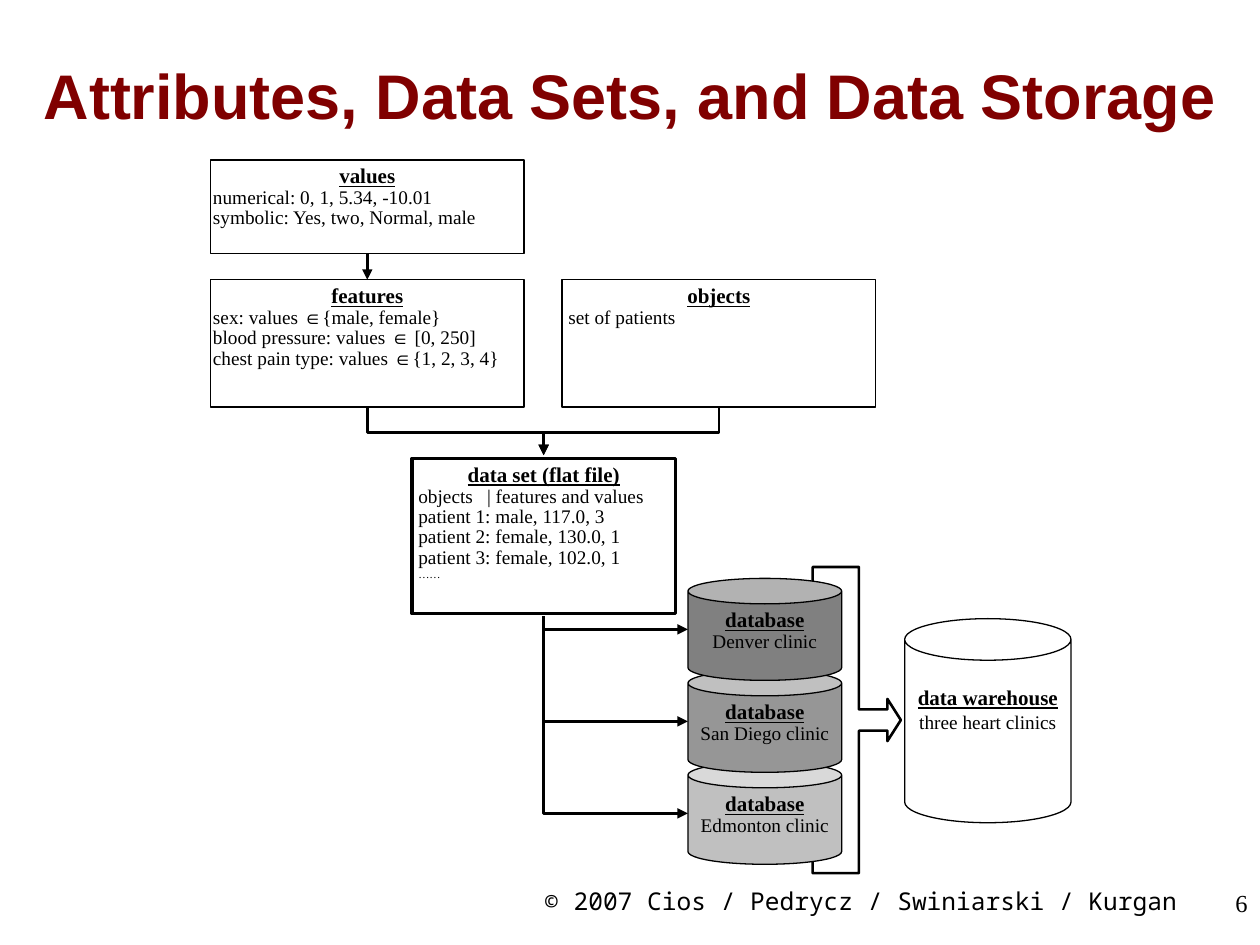
from dataclasses import dataclass

from pptx import Presentation, util as u
from pptx.dml.color import RGBColor
from pptx.enum import shapes, text
from pptx.oxml import parse_xml
from pptx.oxml.ns import nsdecls, qn
from pptx.oxml.xmlchemy import OxmlElement

COLORS = {
    "black": "000000", "white": "FFFFFF", "title": "800000",
    "denver": "808080", "san_diego": "969696", "edmonton": "C0C0C0",
}
SERIF, SANS, MONO = "Times New Roman", "Arial", "Noto Sans Mono"
HEADING = {"size": u.Pt(12), "bold": True, "underline": True, "name": SERIF}
BODY = {"size": u.Pt(11), "bold": False, "underline": False, "name": SERIF}
KIND, ALIGN = shapes.MSO_SHAPE, text.PP_ALIGN


@dataclass
class Box:
    x: float
    y: float
    w: float
    h: float

    @property
    def mid_x(self) -> float:
        return self.x + self.w / 2

    @property
    def bottom(self) -> float:
        return self.y + self.h


@dataclass
class Line:
    words: str
    fmt: dict
    align: int = ALIGN.LEFT
    indent: float = 0
    tab: float = 0
    baseline: int = 0


@dataclass
class Node:
    box: Box
    lines: list
    kind: int = KIND.RECTANGLE
    fill: str = ""
    weight: float = 0.75
    insets: tuple = (1.44, 3.6, 1.44, 0)
    spacing: float = 0.88


def hex_rgb(name: str) -> RGBColor:
    return RGBColor.from_string(COLORS[name])


def write_lines(tf, lines: list, insets: tuple, spacing: float,
                anchor=text.MSO_ANCHOR.TOP, color: str = "black") -> None:
    frame = {"word_wrap": True, "vertical_anchor": anchor}
    sides = ("margin_left", "margin_top", "margin_right", "margin_bottom")
    frame.update(zip(sides, map(u.Pt, insets)))
    for key, value in frame.items():
        setattr(tf, key, value)
    for i, line in enumerate(lines):
        p = tf.paragraphs[0] if i == 0 else tf.add_paragraph()
        p.alignment, p.line_spacing = line.align, spacing
        pPr = p._p.get_or_add_pPr()
        if line.indent:
            pPr.set("marL", str(u.Pt(line.indent)))
        if line.tab:
            pPr.append(parse_xml(
                f'<a:tabLst {nsdecls("a")}>'
                f'<a:tab pos="{u.Pt(line.tab)}" algn="l"/></a:tabLst>'))
        for part in filter(None, line.words.partition("∈")):
            r = p.add_run()
            r.text = part
            for key, value in line.fmt.items():
                setattr(r.font, key, value)
            if part == "∈":
                r.font.name = SANS
            r.font.color.rgb = hex_rgb(color)
            if line.baseline:
                r._r.get_or_add_rPr().set("baseline", str(line.baseline))


def add_label(s, box: Box, line: Line, **style) -> None:
    sp = s.shapes.add_textbox(*map(u.Pt, (box.x, box.y, box.w, box.h)))
    write_lines(sp.text_frame, [line], (7.2, 3.6, 7.2, 3.6), 1.0, **style)


def add_node(s, node: Node):
    b = node.box
    sp = s.shapes.add_shape(node.kind, *map(u.Pt, (b.x, b.y, b.w, b.h)))
    sp.shadow.inherit = False
    if node.fill:
        sp.fill.solid()
        sp.fill.fore_color.rgb = hex_rgb(node.fill)
    else:
        sp.fill.background()
    sp.line.color.rgb = hex_rgb("black")
    sp.line.width = u.Pt(node.weight)
    write_lines(sp.text_frame, node.lines, node.insets, node.spacing)
    return sp


def style_arrow(cn) -> None:
    cn.line.color.rgb = hex_rgb("black")
    cn.line.width = u.Pt(1.5)
    head = OxmlElement("a:tailEnd")
    head.set("type", "triangle")
    cn.line._get_or_add_ln().append(head)
    cn._element.spPr.append(OxmlElement("a:effectLst"))


def add_elbow(s, start: tuple, end: tuple, preset: str, adj: int = 0) -> None:
    """Draw an elbow that leaves downwards: a turned box, mirrored if it runs right."""
    (x1, y1), (x2, y2) = start, end
    cx, cy = (x1 + x2) / 2, (y1 + y2) / 2
    half_w, half_h = (y2 - y1) / 2, abs(x2 - x1) / 2
    cn = s.shapes.add_connector(
        shapes.MSO_CONNECTOR.ELBOW,
        *map(u.Pt, (cx - half_w, cy - half_h, cx + half_w, cy + half_h)))
    spPr = cn._element.spPr
    xfrm, geom = spPr.find(qn("a:xfrm")), spPr.find(qn("a:prstGeom"))
    xfrm.set("rot", str((270 if x2 > x1 else 90) * 60000))
    if x2 > x1:
        xfrm.set("flipH", "1")
    geom.set("prst", preset)
    if adj:
        guide = OxmlElement("a:gd")
        guide.set("name", "adj1")
        guide.set("fmla", f"val {adj}")
        geom.find(qn("a:avLst")).append(guide)
    style_arrow(cn)


def heading(words: str) -> Line:
    return Line(words, HEADING, ALIGN.CENTER)


def body(*rows: str) -> list:
    return [Line(row, BODY) for row in rows]


VALUES = Node(Box(120.24, 91.44, 179.28, 53.28), [heading("values"), *body(
    "numerical: 0, 1, 5.34, -10.01", "symbolic: Yes, two, Normal, male")])
FEATURES = Node(Box(120.24, 159.84, 179.28, 72.72), [heading("features"), *body(
    "sex: values ∈{male, female}", "blood pressure: values ∈ [0, 250]",
    "chest pain type: values ∈{1, 2, 3, 4}")])
OBJECTS = Node(Box(321.12, 159.84, 179.28, 72.72), [
    heading("objects"), Line("set of patients", BODY, indent=2.25)])
DATA_SET = Node(Box(235.44, 262.08, 150.48, 88.56), [
    heading("data set (flat file)"),
    Line("objects\t| features and values", BODY, tab=39.3),
    *body("patient 1: male, 117.0, 3", "patient 2: female, 130.0, 1",
          "patient 3: female, 102.0, 1"),
    Line("……", BODY, baseline=30000)], weight=2, insets=(3.6, 3.6, 3.6, 0))
CLINICS = [("Denver clinic", "denver"), ("San Diego clinic", "san_diego"),
           ("Edmonton clinic", "edmonton")]
DATABASES = [
    Node(Box(393.12, 330.48 + 52.56 * i, 87.84, 58.32),
         [heading("database"), Line(name, BODY, ALIGN.CENTER)], KIND.CAN, fill)
    for i, (name, fill) in enumerate(CLINICS)]
WAREHOUSE = Node(
    Box(516.96, 353.52, 95.04, 116.64),
    [heading("data warehouse"), Line("three heart clinics", BODY, ALIGN.CENTER)],
    KIND.CAN, "white", insets=(7.2, 13.95, 7.2, 3.6), spacing=1.0)
MERGE = Node(Box(464.4, 324, 50.4, 174.96), [], KIND.RIGHT_ARROW_CALLOUT,
             "white", 1.5)


def main() -> None:
    prs = Presentation()
    prs.slide_width, prs.slide_height = u.Pt(720), u.Pt(540)
    s = prs.slides.add_slide(prs.slide_layouts[6])

    add_label(s, Box(288, 502.56, 408.24, 37.44),
              Line("© 2007 Cios / Pedrycz / Swiniarski / Kurgan",
                   {"size": u.Pt(14), "name": MONO}, ALIGN.CENTER))
    add_label(s, Box(570.24, 504, 149.76, 36),
              Line("6", {"size": u.Pt(14), "name": SERIF}, ALIGN.RIGHT))
    add_label(s, Box(0, 18, 720, 72),
              Line("Attributes, Data Sets, and Data Storage",
                   {"size": u.Pt(36), "name": SANS, "bold": True}, ALIGN.CENTER),
              anchor=text.MSO_ANCHOR.MIDDLE, color="title")

    merge = add_node(s, MERGE)
    for i, value in enumerate((0.241, 0.239, 0.152, 0.525)):
        merge.adjustments[i] = value
    values, features = add_node(s, VALUES), add_node(s, FEATURES)
    for node in (OBJECTS, DATA_SET, *reversed(DATABASES), WAREHOUSE):
        add_node(s, node)

    cn = s.shapes.add_connector(shapes.MSO_CONNECTOR.STRAIGHT, 0, 0, 0, 0)
    cn.begin_connect(values, 2)
    cn.end_connect(features, 0)
    style_arrow(cn)

    hub = DATA_SET.box
    for node in (FEATURES, OBJECTS):
        add_elbow(s, (node.box.mid_x, node.box.bottom), (hub.mid_x, hub.y - 2),
                  "bentConnector3", 52800)
    for node in DATABASES:
        add_elbow(s, (hub.mid_x, hub.bottom + 1.44),
                  (node.box.x, node.box.y + node.box.h / 2), "bentConnector2")

    prs.save("out.pptx")


if __name__ == "__main__":
    main()
